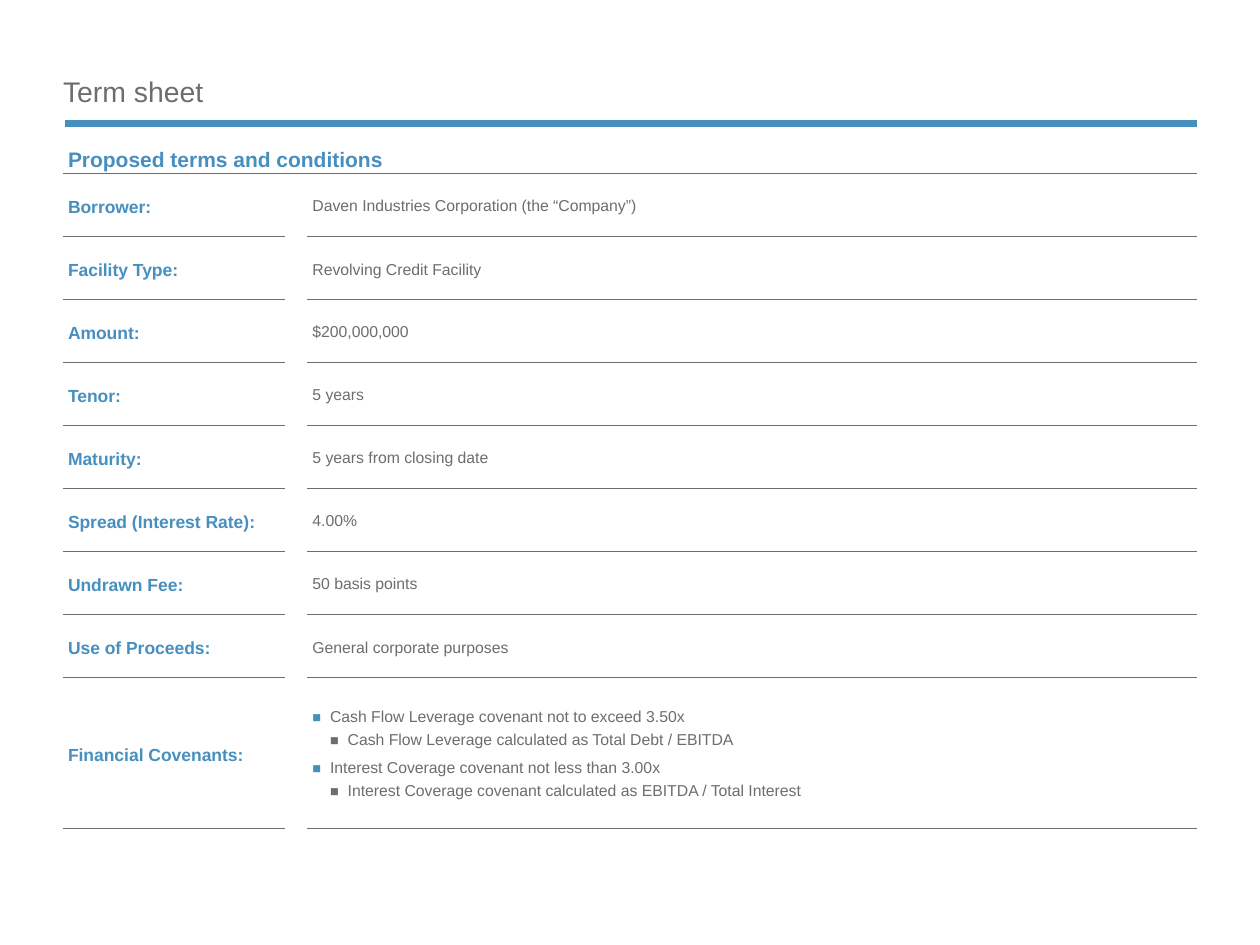
import pptx
import pptx.util
import pptx.dml.color
import pptx.enum.shapes
import pptx.enum.text
import pptx.oxml
import pptx.oxml.ns
from lxml import etree

Inches, Pt = pptx.util.Inches, pptx.util.Pt
qn = pptx.oxml.ns.qn
Anchor = pptx.enum.text.MSO_ANCHOR

COLORS = {"blue": "478FBF", "gray": "6D6E6A"}
FONT = "Arial"

# Label, value, line spacing of the value
TERMS = [
    ("Borrower:", "Daven Industries Corporation (the “Company”)", 1.0),
    ("Facility Type:", "Revolving Credit Facility", 1.1),
    ("Amount:", "$200,000,000", 1.0),
    ("Tenor:", "5 years", 1.0),
    ("Maturity:", "5 years from closing date", 1.0),
    ("Spread (Interest Rate):", "4.00%", 1.0),
    ("Undrawn Fee:", "50 basis points", 1.0),
    ("Use of Proceeds:", "General corporate purposes", 1.1),
]
# Level, text
COVENANTS = [
    (1, "Cash Flow Leverage covenant not to exceed 3.50x"),
    (2, "Cash Flow Leverage calculated as Total Debt / EBITDA"),
    (1, "Interest Coverage covenant not less than 3.00x"),
    (2, "Interest Coverage covenant calculated as EBITDA / Total Interest"),
]


class TermSheet:
    def __init__(self, deck):
        self.slide = deck.slides.add_slide(deck.slide_layouts[5])

    def style(self, paragraph, size, color, bold=False, before=0, spacing=1.0):
        paragraph.alignment = pptx.enum.text.PP_ALIGN.LEFT
        paragraph.space_before = Pt(before)
        paragraph.line_spacing = spacing
        for run in paragraph.runs:
            run.font.name, run.font.size, run.font.bold = FONT, Pt(size), bold
            run.font.color.rgb = pptx.dml.color.RGBColor.from_string(COLORS[color])

    def title(self, text, left, top, width, height):
        heading = self.slide.shapes.title
        heading.left, heading.top = Inches(left), Inches(top)
        heading.width, heading.height = Inches(width), Inches(height)
        frame = heading.text_frame
        frame.text = text
        frame.auto_size = pptx.enum.text.MSO_AUTO_SIZE.NONE
        frame.vertical_anchor = Anchor.MIDDLE
        frame.margin_left = frame.margin_right = 0
        self.style(frame.paragraphs[0], 16.2, "gray", spacing=0.9)

    def rule(self, left, right, y, weight, color):
        line = self.slide.shapes.add_connector(
            pptx.enum.shapes.MSO_CONNECTOR.STRAIGHT,
            Inches(left), Inches(y), Inches(right), Inches(y))
        line.line.width = Pt(weight)
        line.line.color.rgb = pptx.dml.color.RGBColor.from_string(COLORS[color])
        etree.SubElement(line._element.spPr, qn("a:effectLst"))

    def table(self, left, top, widths, heights):
        grid = self.slide.shapes.add_table(
            len(heights), len(widths), Inches(left), Inches(top),
            Inches(sum(widths)), Inches(sum(heights))).table
        grid.first_row = grid.horz_banding = False
        for column, width in zip(grid.columns, widths):
            column.width = Inches(width)
        for row, height in zip(grid.rows, heights):
            row.height = Inches(height)
        return grid

    def cell(self, cell, lines=(), anchor=Anchor.MIDDLE):
        cell.fill.background()
        cell.vertical_anchor = anchor
        cell.margin_left, cell.margin_right = Inches(0.04), Inches(0.09)
        cell.margin_top, cell.margin_bottom = Inches(0.02), 0
        cell.text_frame.text = "\n".join(lines)
        if not lines:
            blank = cell.text_frame.paragraphs[0]._p
            etree.SubElement(blank, qn("a:endParaRPr"), sz="900")
        return cell.text_frame.paragraphs

    def borders(self, cell, ruled):
        properties = cell._tc.get_or_add_tcPr()
        for index, side in enumerate("LRTB"):
            edge = etree.Element(qn("a:ln" + side), w=str(Pt(0.5)))
            if side in ruled:
                fill = etree.SubElement(edge, qn("a:solidFill"))
                etree.SubElement(fill, qn("a:srgbClr"), val=COLORS["gray"])
            else:
                etree.SubElement(edge, qn("a:noFill"))
            properties.insert(index, edge)

    def bullet(self, paragraph, level, color):
        properties = paragraph._p.get_or_add_pPr()
        properties.set("marL", str(Inches(0.14 * level)))
        properties.set("indent", str(Inches(-0.14)))
        tint = etree.SubElement(properties, qn("a:buClr"))
        etree.SubElement(tint, qn("a:srgbClr"), val=COLORS[color])
        etree.SubElement(properties, qn("a:buSzPct"), val="92000")
        etree.SubElement(properties, qn("a:buFont"), typeface=FONT)
        etree.SubElement(properties, qn("a:buChar"), char="■")


deck = pptx.Presentation()
deck.slide_width, deck.slide_height = Inches(10), Inches(7.5)
sheet = TermSheet(deck)

# Heading
sheet.rule(0.52, 9.5, 0.98, 4.5, "blue")
sheet.title("Term sheet", 0.5, 0.59, 9, 0.3)

# Table with its section header
terms = sheet.table(0.5, 1.16, [1.76, 0.18, 7.06],
                    [0.21] + [0.5] * len(TERMS) + [1.2])
terms.cell(0, 0).merge(terms.cell(0, 2))
section = sheet.cell(terms.cell(0, 0), ["Proposed terms and conditions"], Anchor.BOTTOM)
terms.cell(0, 0).margin_bottom = Inches(0.01)
sheet.style(section[0], 12, "blue", bold=True, before=2.6)
for column in (1, 2):
    sheet.cell(terms.cell(0, column))
for column in range(3):
    sheet.borders(terms.cell(0, column), "B")

# Labels, gap column and rules
labels = [term[0] for term in TERMS] + ["Financial Covenants:"]
for row, label in enumerate(labels, 1):
    name = sheet.cell(terms.cell(row, 0), [label])
    sheet.style(name[0], 10, "blue", bold=True, before=1, spacing=1.1)
    sheet.cell(terms.cell(row, 1))
    sheet.borders(terms.cell(row, 0), "TB")
    sheet.borders(terms.cell(row, 1), "T" if row == 1 else "")

# Values
for row, (_, value, spacing) in enumerate(TERMS, 1):
    detail = sheet.cell(terms.cell(row, 2), [value])
    sheet.style(detail[0], 9, "gray", before=2.6, spacing=spacing)
    sheet.borders(terms.cell(row, 2), "TB")

# Covenants
covenant_cell = terms.cell(len(labels), 2)
covenants = sheet.cell(covenant_cell, [text for _, text in COVENANTS])
sheet.borders(covenant_cell, "TB")
for covenant, (level, _) in zip(covenants, COVENANTS):
    sheet.style(covenant, 9, "gray", before=6 if level == 1 else 3)
    sheet.bullet(covenant, level, "blue" if level == 1 else "gray")

deck.save("out.pptx")
